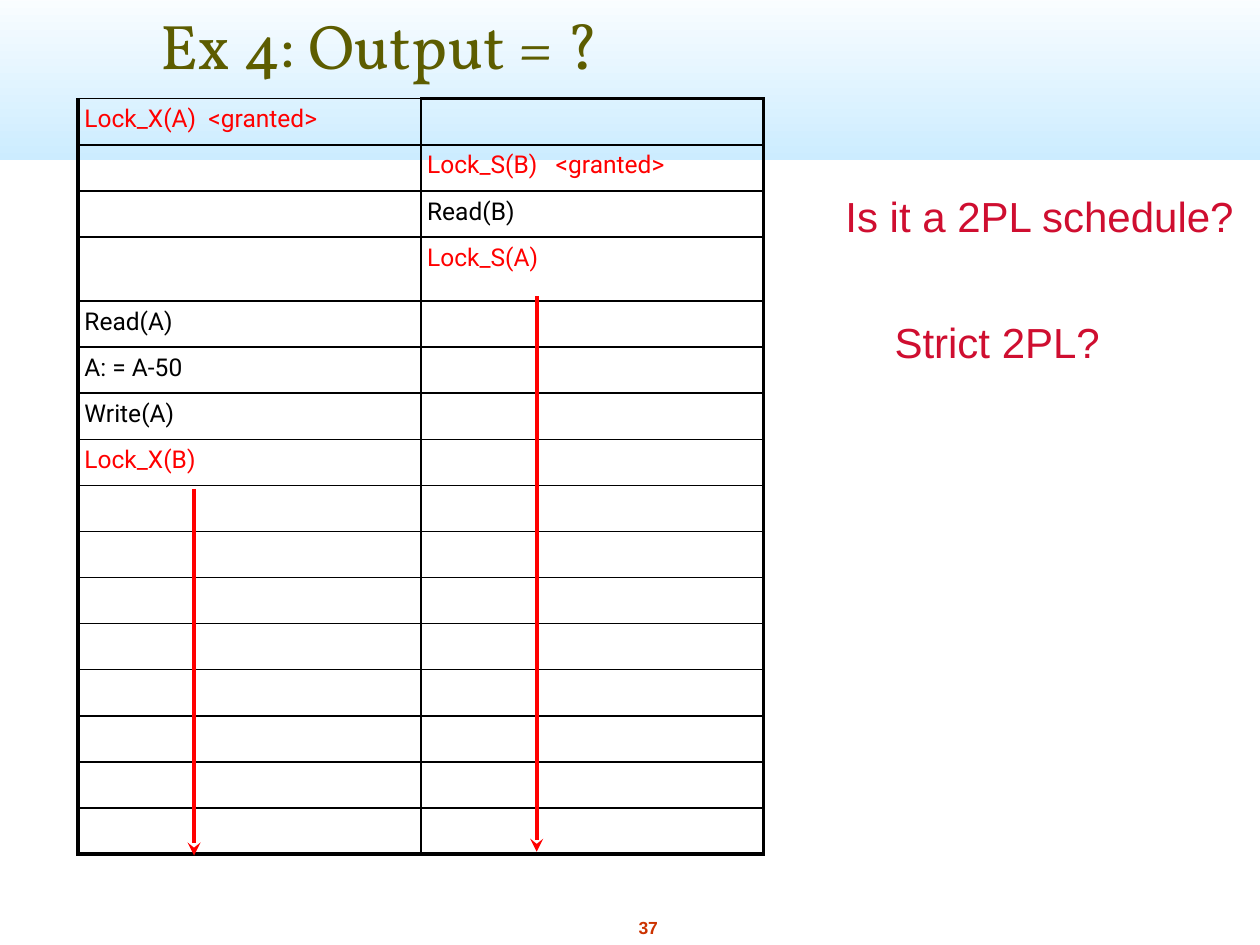
"""Build the lock schedule exercise slide."""
from lxml import etree
from pptx import Presentation
from pptx import util as u
from pptx.dml.color import RGBColor
from pptx.enum import shapes, text
from pptx.oxml.ns import qn

COLORS = {"black": "000000", "red": "FF0000", "crimson": "CF0E30", "olive": "5D5D00",
          "rust": "CC3300", "sky": "CCECFF", "white": "FFFFFF"}
TITLE = ("Ex 4: Output = ?", (87.84, 0, 266.4, 50.4))
QUESTIONS = [("Is it a 2PL schedule?", (479.52, 105.12, 230.4, 34.56)),
             ("Strict 2PL?", (507.6, 177.12, 125.28, 34.56))]
PAGE_NUMBER = ("37", (360.72, 520.56, 19.44, 19.44))
ROW_COUNT = 16
STEPS = {(0, 0): "Lock_X(A)  <granted>", (1, 1): "Lock_S(B)   <granted>",
         (2, 1): "Read(B)", (3, 1): "Lock_S(A)", (4, 0): "Read(A)",
         (5, 0): "A: = A-50", (6, 0): "Write(A)", (7, 0): "Lock_X(B)"}
TABLE_LEFT, TABLE_TOP, COLUMN_WIDTH = 44.64, 56.4, 195.84
ROW_HEIGHT, TALL_ROW, TALL_HEIGHT = 26.35, 3, 36.6
THIN, THICK = 1, 2.25
WAIT_ARROWS = [(110.88, 279.36, 488.88), (306.72, 169.2, 486.72)]


def color(name):
    return RGBColor.from_string(COLORS[name])


def points(values):
    return [u.Pt(value) for value in values]


def write(frame, words, *, font, size, ink, bold=False, before=0,
          align=text.PP_ALIGN.LEFT):
    """Put one formatted paragraph in a text frame."""
    para = frame.paragraphs[0]
    para.alignment = align
    para.space_before = u.Pt(before)
    span = para.add_run()
    span.text = words
    span.font.name, span.font.size, span.font.bold = font, u.Pt(size), bold
    span.font.color.rgb = color(ink)


def fit(frame):
    frame.word_wrap = False
    frame.vertical_anchor = text.MSO_ANCHOR.TOP
    frame.margin_left = frame.margin_right = u.Pt(3.6)
    frame.margin_top = frame.margin_bottom = u.Pt(3.6)


def add_text(page, words, place, **style):
    box = page.shapes.add_textbox(*points(place))
    fit(box.text_frame)
    write(box.text_frame, words, **style)


def add_border(cell, side, width):
    props = cell._tc.get_or_add_tcPr()
    line = etree.SubElement(props, qn(f"a:{side}"), w=str(u.Pt(width)))
    fill = etree.SubElement(line, qn("a:solidFill"))
    etree.SubElement(fill, qn("a:srgbClr"), val=COLORS["black"])


def add_schedule(page):
    heights = [TALL_HEIGHT if row == TALL_ROW else ROW_HEIGHT for row in range(ROW_COUNT)]
    place = (TABLE_LEFT, TABLE_TOP, 2 * COLUMN_WIDTH, sum(heights))
    table = page.shapes.add_table(ROW_COUNT, 2, *points(place)).table
    table.first_row = table.horz_banding = False
    for column in table.columns:
        column.width = u.Pt(COLUMN_WIDTH)
    for row, height in enumerate(heights):
        table.rows[row].height = u.Pt(height)
        for column in range(2):
            cell = table.cell(row, column)
            cell.margin_left = cell.margin_right = u.Pt(3.6)
            cell.margin_top = cell.margin_bottom = u.Pt(3.6)
            widths = {"lnL": THIN if column else THICK,
                      "lnR": THICK if column else THIN,
                      "lnT": THICK if (row, column) == (0, 1) else THIN,
                      "lnB": THICK if row == ROW_COUNT - 1 else THIN}
            for side, width in widths.items():
                add_border(cell, side, width)
            cell.fill.background()
            words = STEPS.get((row, column))
            if words:
                ink = "red" if words.startswith("Lock") else "black"
                write(cell.text_frame, words, font="Roboto", size=14, ink=ink, before=4)
            else:
                para = cell.text_frame.paragraphs[0]
                etree.SubElement(para._p, qn("a:endParaRPr"), sz="1400")


def add_arrow(page, x, top, bottom):
    arrow = page.shapes.add_connector(shapes.MSO_CONNECTOR.STRAIGHT,
                                      *points((x, top, x, bottom)))
    arrow.line.color.rgb = color("red")
    arrow.line.width = u.Pt(2.5)
    etree.SubElement(arrow.line._get_or_add_ln(), qn("a:tailEnd"), type="stealth")
    etree.SubElement(arrow._element.spPr, qn("a:effectLst"))


def add_band(page):
    band = page.shapes.add_shape(shapes.MSO_SHAPE.RECTANGLE, *points((0, -12, 720, 103.5)))
    band.shadow.inherit = False
    band.line.fill.background()
    band.fill.gradient()
    band.fill.gradient_angle = 90
    for stop, name, position in zip(band.fill.gradient_stops, ("sky", "white"), (0, 1)):
        stop.color.rgb = color(name)
        stop.position = position
    page.shapes._spTree.insert(2, band._element)


deck = Presentation()
deck.slide_width, deck.slide_height = points((720, 540))
page = deck.slides.add_slide(deck.slide_layouts[5])
add_band(page)
add_schedule(page)

title = page.shapes.title
title.left, title.top, title.width, title.height = points(TITLE[1])
fit(title.text_frame)
write(title.text_frame, TITLE[0], font="Vollkorn", size=36, ink="olive")

for words, place in QUESTIONS:
    add_text(page, words, place, font="Arial", size=24, ink="crimson")
add_text(page, *PAGE_NUMBER, font="Arial", size=10, ink="rust", bold=True,
         before=6, align=text.PP_ALIGN.CENTER)
for x, top, bottom in WAIT_ARROWS:
    add_arrow(page, x, top, bottom)

deck.save("out.pptx")
